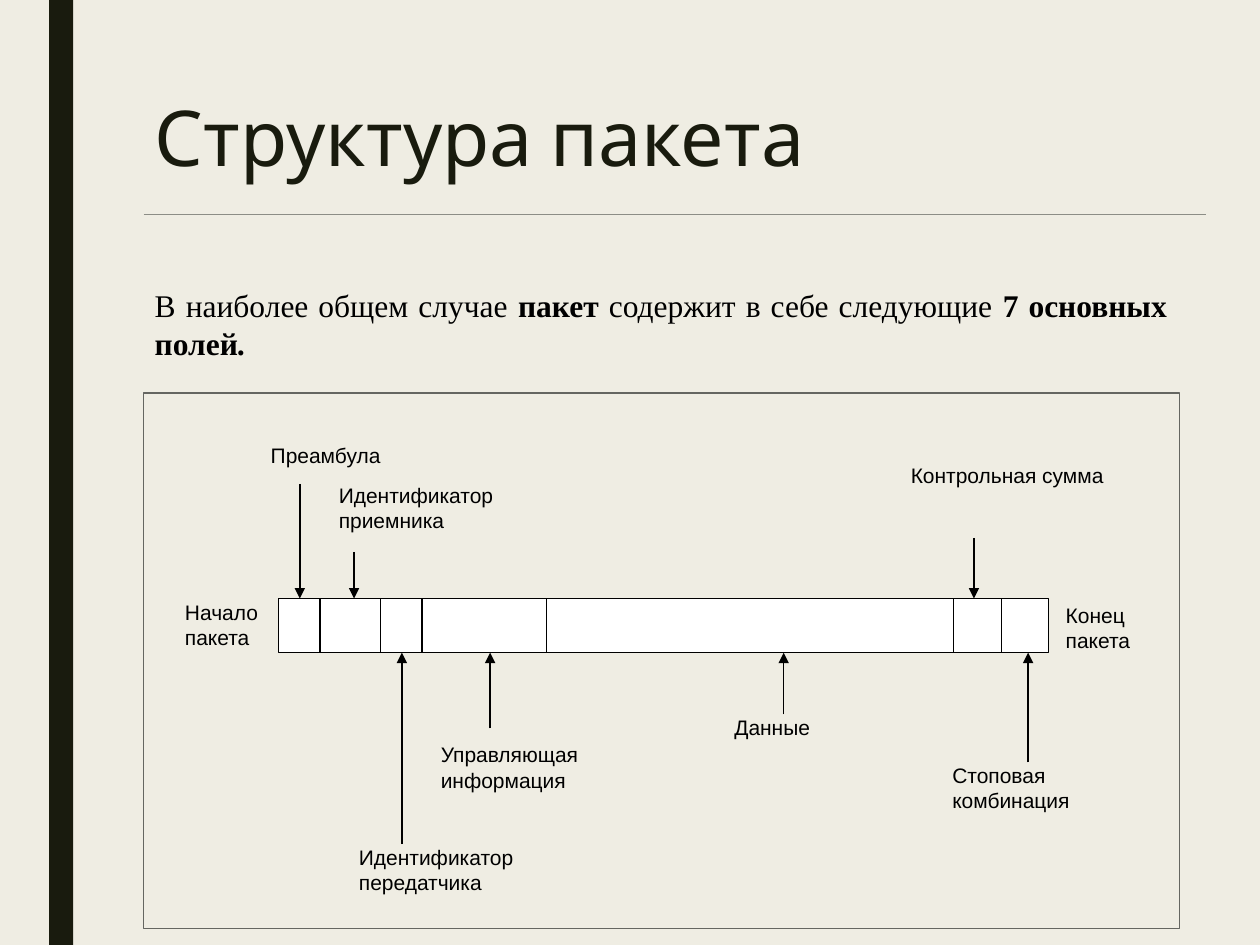
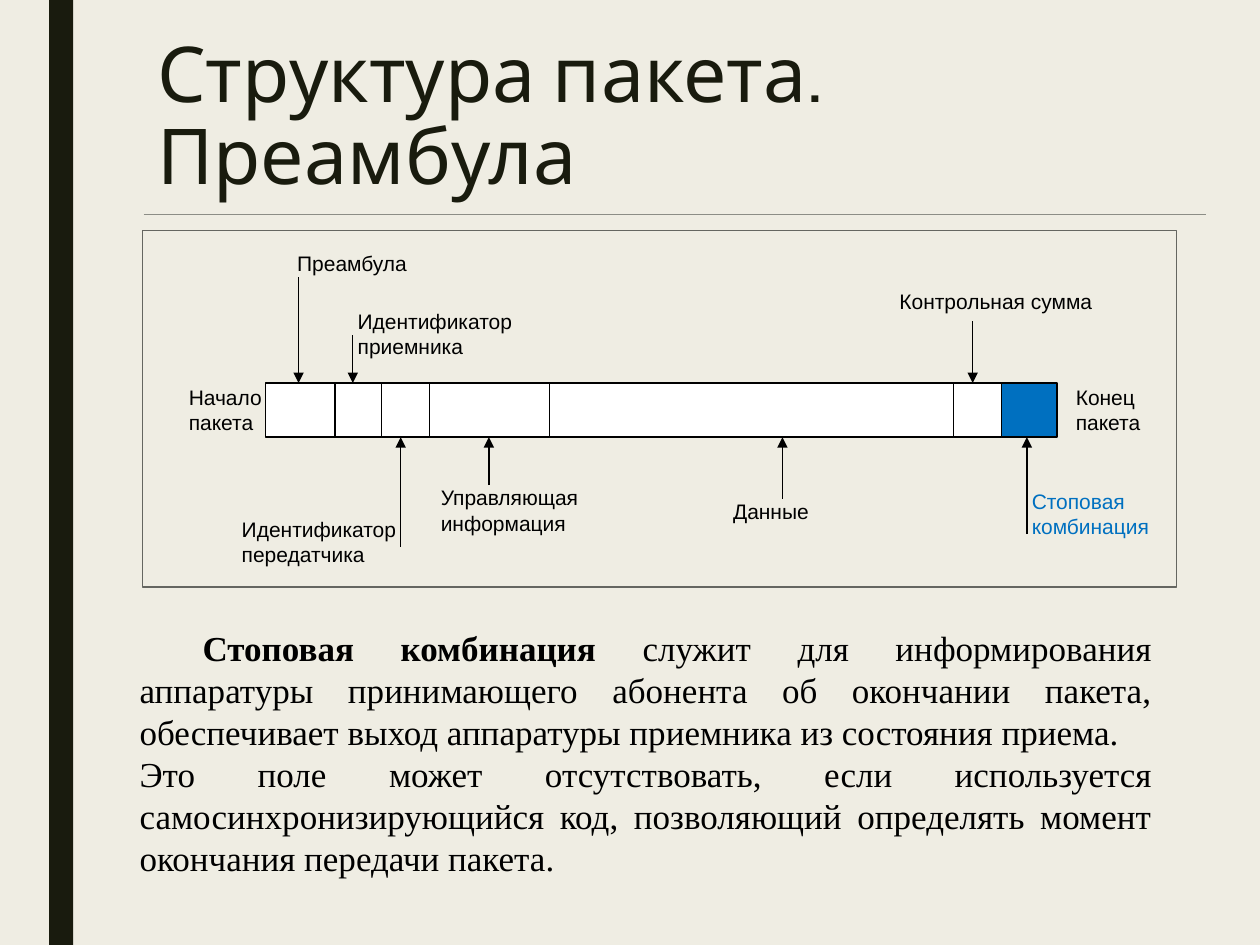
import pptx
import pptx.util
import pptx.dml.color
import pptx.enum.shapes
import pptx.enum.text
import pptx.oxml.ns
import lxml.etree

Inches = pptx.util.Inches
Pt = pptx.util.Pt
RGBColor = pptx.dml.color.RGBColor
PP_ALIGN = pptx.enum.text.PP_ALIGN

CREAM = RGBColor(0xEF, 0xED, 0xE3)
DARK = RGBColor(0x19, 0x1B, 0x0E)
RULE_GRAY = RGBColor(0x8C, 0x8D, 0x86)
FRAME_GRAY = RGBColor(0x65, 0x66, 0x61)
BLACK = RGBColor(0, 0, 0)
WHITE = RGBColor(0xFF, 0xFF, 0xFF)
BLUE = RGBColor(0x00, 0x70, 0xC0)

TITLE_FONT, LABEL_FONT, BODY_FONT = "Cabin", "Arial", "Times New Roman"
BAR_HEIGHT = 0.43

# Packet fields in order: name, arrow position, label width
FIELDS = [
    ("Преамбула", 2.37, 1.68),
    ("Идентификатор приемника", 2.8, 1.89),
    ("Идентификатор передатчика", 3.18, 1.89),
    ("Управляющая информация", 3.88, 1.89),
    ("Данные", 6.21, 1.46),
    ("Контрольная сумма", 7.72, 1.89),
    ("Стоповая комбинация", 8.15, 1.62),
]


def add_rectangle(slide, left, top, width, height, fill=None, line=None):
    shape = slide.shapes.add_shape(
        pptx.enum.shapes.MSO_SHAPE.RECTANGLE,
        Inches(left), Inches(top), Inches(width), Inches(height))
    shape.shadow.inherit = False
    if fill is None:
        shape.fill.background()
    else:
        shape.fill.solid()
        shape.fill.fore_color.rgb = fill
    if line is None:
        shape.line.fill.background()
    else:
        shape.line.color.rgb = line
        shape.line.width = Pt(0.75)


def add_line(slide, start, end, color=BLACK, width=0.75, arrow=False):
    connector = slide.shapes.add_connector(
        pptx.enum.shapes.MSO_CONNECTOR.STRAIGHT,
        *(Inches(value) for value in (*start, *end)))
    connector.line.color.rgb = color
    connector.line.width = Pt(width)
    qn = pptx.oxml.ns.qn
    if arrow:
        outline = connector.line._get_or_add_ln()
        lxml.etree.SubElement(outline, qn("a:tailEnd"), type="triangle")
    lxml.etree.SubElement(connector._element.spPr, qn("a:effectLst"))


def add_text(slide, left, top, width, height, paragraphs, font, size,
             color=BLACK, align=PP_ALIGN.LEFT):
    """Each paragraph is a list of (text, bold, italic) runs."""
    box = slide.shapes.add_textbox(
        Inches(left), Inches(top), Inches(width), Inches(height))
    frame = box.text_frame
    frame.word_wrap = True
    for index, runs in enumerate(paragraphs):
        paragraph = frame.add_paragraph() if index else frame.paragraphs[0]
        paragraph.alignment = align
        paragraph.font.name = font
        paragraph.font.size = Pt(size)
        paragraph.font.color.rgb = color
        for text, bold, italic in runs:
            run = paragraph.add_run()
            run.text = text
            if bold:
                run.font.bold = True
            if italic:
                run.font.italic = True
    return frame


def plain(*lines):
    return [[(line, False, False)] for line in lines]


def add_base_slide(presentation, title, left, top):
    """Blank slide with the side band, the title and the rule below it."""
    slide = presentation.slides.add_slide(presentation.slide_layouts[6])
    add_rectangle(slide, 0.39, 0, 0.19, 7.5, fill=DARK)
    frame = add_text(slide, left, top, 7.87, 1.63, plain(title),
                     TITLE_FONT, 44, DARK)
    frame.paragraphs[0].line_spacing = 0.89
    add_line(slide, (1.14, 1.7), (9.57, 1.7), RULE_GRAY, 0.5)
    return slide


def add_divided_bar(slide, top, edges):
    """One white bar split by vertical lines."""
    add_rectangle(slide, edges[0], top, edges[-1] - edges[0], BAR_HEIGHT,
                  WHITE, BLACK)
    for edge in edges[1:-1]:
        add_line(slide, (edge, top), (edge, top + BAR_HEIGHT))


def add_cell_bar(slide, top, edges, highlight):
    """Separate cells, one of them coloured."""
    for index, (left, right) in enumerate(zip(edges, edges[1:])):
        fill = BLUE if index == highlight else WHITE
        add_rectangle(slide, left, top, right - left, BAR_HEIGHT, fill, BLACK)


def add_callouts(slide, bar_top, ends, callouts, arrow_shift=0,
                 highlight=None):
    """callouts holds (label left, label top, arrow start) for each field."""
    # Words at both ends of the bar
    for word, (left, top) in zip(("Начало", "Конец"), ends):
        add_text(slide, left, top, 0.97, 0.7, plain(word, "пакета"),
                 LABEL_FONT, 12)

    # Arrows and field names
    for index, (field, callout) in enumerate(zip(FIELDS, callouts)):
        name, arrow_x, width = field
        left, top, start = callout
        arrow_x += arrow_shift
        target = bar_top if start < bar_top else bar_top + BAR_HEIGHT
        add_line(slide, (arrow_x, start), (arrow_x, target), arrow=True)
        color = BLUE if index == highlight else BLACK
        height = 0.38 if index == 0 else 0.76
        add_text(slide, left, top, width, height, plain(name),
                 LABEL_FONT, 12, color)


def build_structure_slide(presentation):
    slide = add_base_slide(presentation, "Структура пакета", 1.13, 0.75)
    add_text(slide, 1.13, 2.22, 8.23, 0.7, [[
        ("В наиболее общем случае ", False, False),
        ("пакет", True, False),
        (" содержит в себе следующие ", False, False),
        ("7 основных полей", True, False),
        (".", True, True),
    ]], BODY_FONT, 18, align=PP_ALIGN.JUSTIFY)

    # Packet diagram
    bar_top = 4.75
    add_rectangle(slide, 1.14, 3.12, 8.22, 4.25, line=FRAME_GRAY)
    add_divided_bar(slide, bar_top,
                    [2.21, 2.54, 3.02, 3.35, 4.34, 7.57, 7.95, 8.32])
    add_callouts(
        slide, bar_top,
        ends=[(1.37, 4.71), (8.36, 4.73)],
        callouts=[(2.05, 3.46, 3.84), (2.59, 3.78, 4.38), (2.75, 6.65, 6.7),
                  (3.4, 5.84, 5.78), (5.73, 5.62, 5.67), (7.13, 3.62, 4.27),
                  (7.46, 6, 6.05)],
        arrow_shift=0.01)


def build_stop_slide(presentation):
    slide = add_base_slide(presentation, "Структура пакета. Преамбула",
                           1.15, 0.24)

    # Packet diagram with the stop field coloured
    bar_top = 3.04
    stop_field = len(FIELDS) - 1
    add_rectangle(slide, 1.13, 1.83, 8.21, 2.83, line=FRAME_GRAY)
    add_cell_bar(slide, bar_top,
                 [2.11, 2.66, 3.03, 3.41, 4.36, 7.57, 7.95, 8.39], stop_field)
    add_callouts(
        slide, bar_top,
        ends=[(1.4, 3), (8.44, 3)],
        callouts=[(2.26, 1.94, 2.2), (2.74, 2.4, 2.66), (1.82, 4.05, 4.34),
                  (3.4, 3.8, 3.85), (5.72, 3.91, 3.96), (7.04, 2.24, 2.55),
                  (8.09, 3.83, 4.24)],
        highlight=stop_field)

    # Explanation
    frame = add_text(slide, 1.01, 4.92, 8.23, 2.4, [
        [("Стоповая комбинация ", True, False),
         ("служит для информирования аппаратуры принимающего абонента об "
          "окончании пакета, обеспечивает выход аппаратуры приемника из "
          "состояния приема.", False, False)],
        [("Это поле может отсутствовать, если используется "
          "самосинхронизирующийся код, позволяющий определять момент "
          "окончания передачи пакета.", False, False)],
    ], BODY_FONT, 20, align=PP_ALIGN.JUSTIFY)
    # First-line indent
    properties = frame.paragraphs[0]._p.get_or_add_pPr()
    properties.set("indent", str(Inches(0.5)))


def main():
    presentation = pptx.Presentation()
    presentation.slide_width = Inches(10)
    presentation.slide_height = Inches(7.5)
    background = presentation.slide_master.background.fill
    background.solid()
    background.fore_color.rgb = CREAM
    build_structure_slide(presentation)
    build_stop_slide(presentation)
    presentation.save("out.pptx")


if __name__ == "__main__":
    main()
